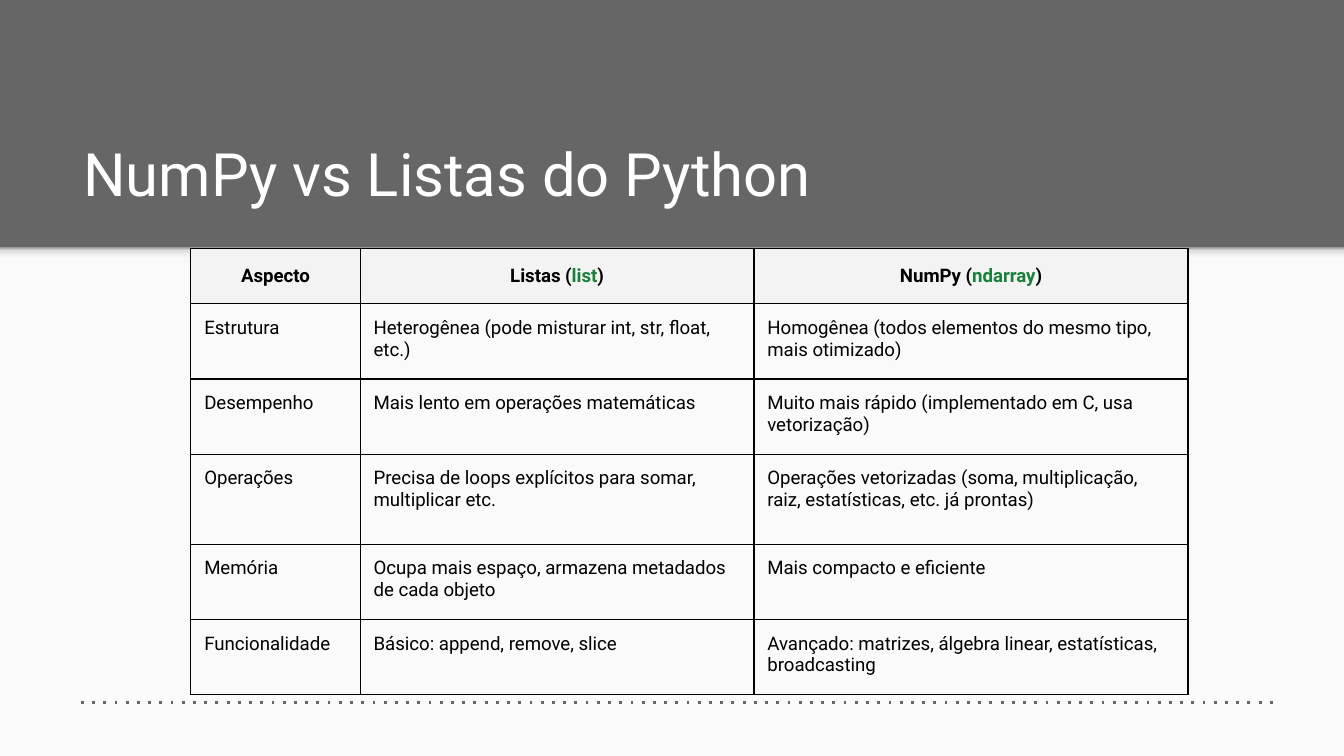
from dataclasses import dataclass

from lxml import etree
from pptx import Presentation
from pptx.dml.color import RGBColor
from pptx.enum.shapes import MSO_CONNECTOR, MSO_SHAPE
from pptx.enum.text import MSO_ANCHOR, MSO_AUTO_SIZE, PP_ALIGN
from pptx.oxml.ns import qn
from pptx.util import Inches, Pt

RECTANGLE = MSO_SHAPE.RECTANGLE
STRAIGHT = MSO_CONNECTOR.STRAIGHT
BOTTOM = MSO_ANCHOR.BOTTOM
NO_AUTOFIT = MSO_AUTO_SIZE.NONE
LEFT, CENTER = PP_ALIGN.LEFT, PP_ALIGN.CENTER

SLIDE_WIDTH = 10
SLIDE_HEIGHT = SLIDE_WIDTH * 9 / 16
BAND_HEIGHT = 1.84
FONT = "Roboto"
COLORS = {
    "band": "666666",
    "panel": "FAFAFA",
    "title": "FFFFFF",
    "text": "000000",
    "code": "188038",
    "header": "F3F3F3",
}
SHADOW_STOPS = ((0, "F9F9F9"), (36, "F9F9F9"), (80, "DEDEDE"), (100, "999999"))


@dataclass(frozen=True)
class Column:
    """A table column with its heading and optional code word."""
    heading: str
    code: str
    width: float


@dataclass(frozen=True)
class Row:
    """A comparison row with its height in inches."""
    texts: tuple[str, str, str]
    height: float = 0.56


COLUMNS = (
    Column("Aspecto", "", 1.26),
    Column("Listas", "list", 2.93),
    Column("NumPy", "ndarray", 3.23),
)
HEADER_HEIGHT = 0.41
ROWS = (
    Row(("Estrutura", "Heterogênea (pode misturar int, str, float, etc.)",
         "Homogênea (todos elementos do mesmo tipo, mais otimizado)")),
    Row(("Desempenho", "Mais lento em operações matemáticas",
         "Muito mais rápido (implementado em C, usa vetorização)")),
    Row(("Operações", "Precisa de loops explícitos para somar, multiplicar etc.",
         "Operações vetorizadas (soma, multiplicação, raiz, estatísticas, etc. já prontas)"),
        0.67),
    Row(("Memória", "Ocupa mais espaço, armazena metadados de cada objeto",
         "Mais compacto e eficiente")),
    Row(("Funcionalidade", "Básico: append, remove, slice",
         "Avançado: matrizes, álgebra linear, estatísticas, broadcasting")),
)


def rgb(name: str) -> RGBColor:
    """Return a palette colour."""
    return RGBColor.from_string(COLORS[name])


def set_margins(frame) -> None:
    """Give a cell or text frame equal insets."""
    frame.margin_left = frame.margin_right = Inches(0.1)
    frame.margin_top = frame.margin_bottom = Inches(0.1)


def add_panel(s, height: float):
    """Add a full-width rectangle below the title band."""
    sp = s.shapes.add_shape(RECTANGLE, 0, Inches(BAND_HEIGHT),
                            Inches(SLIDE_WIDTH), Inches(height))
    sp.shadow.inherit = False
    sp.fill.solid()
    sp.fill.fore_color.rgb = rgb("panel")
    sp.line.fill.background()
    return sp


def add_band_shadow(s) -> None:
    """Add the soft gradient beneath the title band."""
    sp = add_panel(s, 0.12)
    sp.fill.gradient()
    sp.fill.gradient_angle = 90
    stops = sp._element.spPr.find(f".//{qn('a:gsLst')}")
    for gs in list(stops):
        stops.remove(gs)
    for position, color in SHADOW_STOPS:
        gs = etree.SubElement(stops, qn("a:gs"), pos=str(position * 1000))
        etree.SubElement(gs, qn("a:srgbClr"), val=color)


def add_title(s, text: str) -> None:
    """Place and format the slide title."""
    sp = s.shapes.title
    sp.left, sp.top, sp.width, sp.height = map(Inches, (0.52, 0.81, 8.99, 0.84))
    tf = sp.text_frame
    tf.text = text
    tf.word_wrap = True
    tf.auto_size = NO_AUTOFIT
    tf.vertical_anchor = BOTTOM
    set_margins(tf)
    p = tf.paragraphs[0]
    p.alignment = LEFT
    p.font.name, p.font.size = FONT, Pt(32)
    p.font.color.rgb = rgb("title")


def add_dotted_rule(s) -> None:
    """Add the dotted line at the foot of the slide."""
    y = Inches(5.23)
    line = s.shapes.add_connector(STRAIGHT, Inches(9.47), y, Inches(0.56), y)
    line.line.color.rgb = rgb("band")
    line.line.width = Pt(1.5)
    spPr = line._element.spPr
    etree.SubElement(spPr.find(qn("a:ln")), qn("a:prstDash"), val="dot")
    etree.SubElement(spPr, qn("a:effectLst"))


def add_borders(cell) -> None:
    """Draw thin borders on all four sides of a cell."""
    tcPr = cell._tc.get_or_add_tcPr()
    for side in ("lnL", "lnR", "lnT", "lnB"):
        ln = etree.SubElement(tcPr, qn(f"a:{side}"), w=str(Pt(0.75)))
        fill = etree.SubElement(ln, qn("a:solidFill"))
        etree.SubElement(fill, qn("a:srgbClr"), val=COLORS["text"])


def format_cell(cell, parts: tuple[tuple[str, str], ...], header: bool) -> None:
    """Write coloured text parts and format a table cell."""
    set_margins(cell)
    add_borders(cell)
    if header:
        cell.fill.solid()
        cell.fill.fore_color.rgb = rgb("header")
    else:
        cell.fill.background()
    p = cell.text_frame.paragraphs[0]
    p.alignment = CENTER if header else LEFT
    if header:
        p.line_spacing = 1.15
    for text, color in parts:
        r = p.add_run()
        r.text = text
        r.font.name, r.font.size, r.font.bold = FONT, Pt(10), header
        r.font.color.rgb = rgb(color)


def heading_parts(column: Column) -> tuple[tuple[str, str], ...]:
    """Split a heading into plain and code parts."""
    if not column.code:
        return ((column.heading, "text"),)
    return ((f"{column.heading} (", "text"), (column.code, "code"), (")", "text"))


def add_comparison(s) -> None:
    """Add the comparison table."""
    heights = [HEADER_HEIGHT, *(row.height for row in ROWS)]
    width = sum(column.width for column in COLUMNS)
    table = s.shapes.add_table(len(heights), len(COLUMNS), Inches(1.42), Inches(1.85),
                               Inches(width), Inches(sum(heights))).table
    table.first_row = table.horz_banding = False
    for i, height in enumerate(heights):
        table.rows[i].height = Inches(height)
    for j, column in enumerate(COLUMNS):
        table.columns[j].width = Inches(column.width)
        format_cell(table.cell(0, j), heading_parts(column), True)
        for i, row in enumerate(ROWS, 1):
            format_cell(table.cell(i, j), ((row.texts[j], "text"),), False)


def main() -> None:
    """Build and save the slide."""
    prs = Presentation()
    prs.slide_width, prs.slide_height = Inches(SLIDE_WIDTH), Inches(SLIDE_HEIGHT)
    s = prs.slides.add_slide(prs.slide_layouts[5])
    s.background.fill.solid()
    s.background.fill.fore_color.rgb = rgb("band")
    add_panel(s, SLIDE_HEIGHT - BAND_HEIGHT)
    add_band_shadow(s)
    add_title(s, "NumPy vs Listas do Python")
    add_dotted_rule(s)
    add_comparison(s)
    prs.save("out.pptx")


if __name__ == "__main__":
    main()
